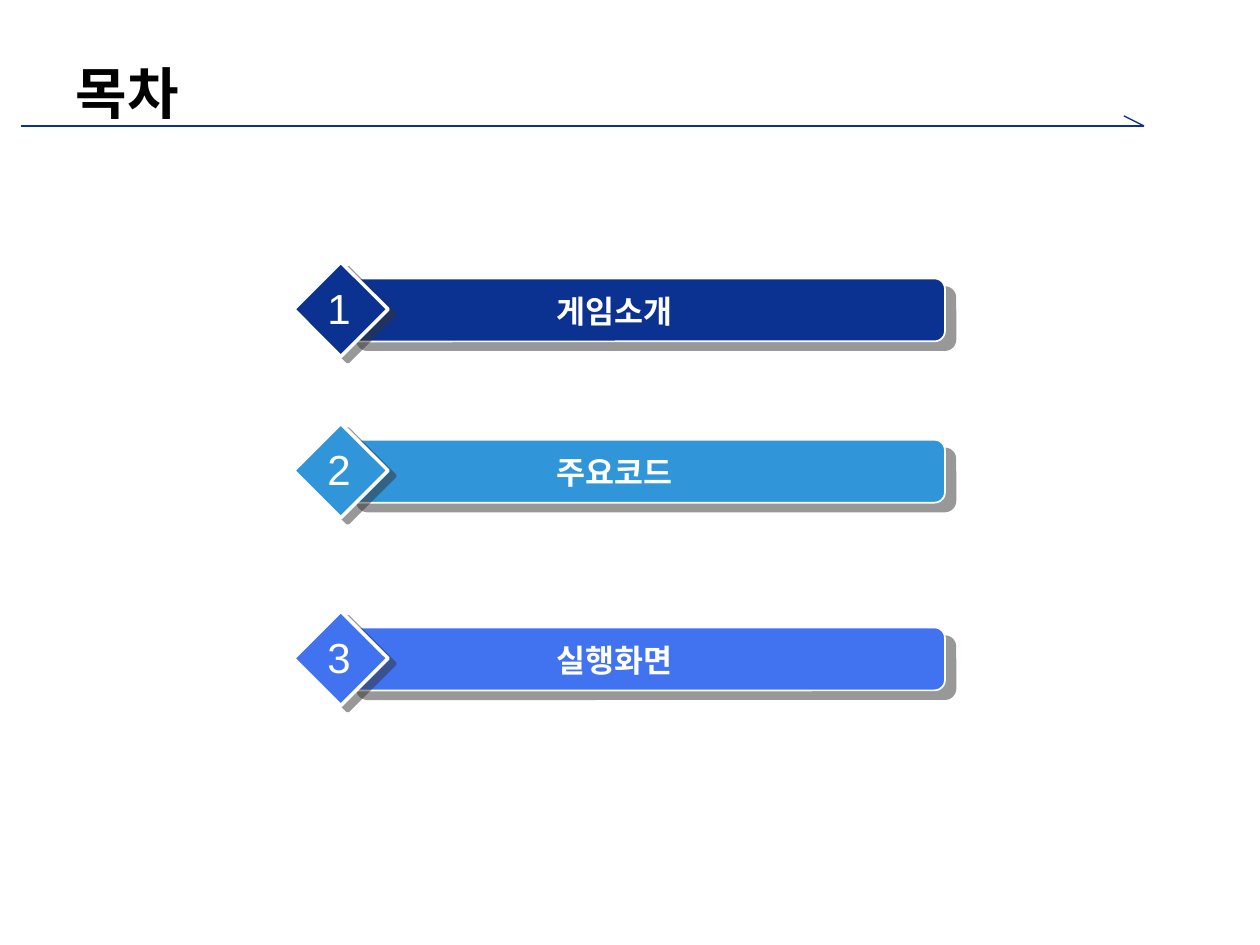
from dataclasses import dataclass

from lxml.etree import SubElement
from pptx import Presentation
from pptx.dml.color import RGBColor
from pptx.enum.shapes import MSO_CONNECTOR as Connector, MSO_SHAPE as Shape
from pptx.enum.text import MSO_ANCHOR as Anchor, MSO_AUTO_SIZE as AutoSize, PP_ALIGN as Align
from pptx.oxml.ns import qn
from pptx.util import Emu, Inches, Pt

# Content: label, top of the diamond, colour
TITLE = "목차"
ITEMS = [
    ("게임소개", 2.08, "0B3191"),
    ("주요코드", 3.36, "3195D9"),
    ("실행화면", 4.85, "4173F1"),
]


@dataclass(frozen=True)
class Theme:
    navy: str = "0B3191"
    white: str = "FFFFFF"
    black: str = "000000"
    shadow: str = "333333"
    title_font: str = "DejaVu Sans"
    body_font: str = "Arial"
    title_size: int = 32
    label_size: int = 18
    number_size: int = 24


THEME = Theme()

# Places inside an item: left, top below the diamond's top, width, height
BAR = (2.75, 0.13, 4.75, 0.5)
DIAMOND = (2.33, 0, 0.75, 0.75)
LABEL = (3, 0.19, 3.75, 0.4)
NUMBER = (2.5, 0.11, 0.38, 0.5)

# Title underline with its half arrowhead
ARROW_TIP = (9.08, 1)
ARROW_STARTS = [(0.17, 1), (8.92, 0.92)]


def set_text(frame, text, font, size, color, bold, alignment):
    frame.text = text
    paragraph = frame.paragraphs[0]
    paragraph.alignment = alignment
    run = paragraph.runs[0]
    for name, value in {"name": font, "size": Pt(size), "bold": bold}.items():
        setattr(run.font, name, value)
    run.font.color.rgb = RGBColor.from_string(color)
    SubElement(run.font._element, qn("a:ea"), typeface=font)


def add_block(group, kind, place, top, color, line_width, distance, angle):
    left, offset, width, height = place
    shape = group.shapes.add_shape(
        kind, Inches(left), Inches(top + offset), Inches(width), Inches(height))
    shape.fill.solid()
    shape.fill.fore_color.rgb = RGBColor.from_string(color)
    shape.line.color.rgb = RGBColor.from_string(THEME.white)
    shape.line.width = Pt(line_width)
    # Hard, half-transparent shadow
    shape.shadow.inherit = False
    effects = shape._element.spPr.find(qn("a:effectLst"))
    shadow = SubElement(effects, qn("a:outerShdw"), dist=str(Pt(distance)),
                        dir=str(angle * 60000), algn="ctr", rotWithShape="0")
    shade = SubElement(shadow, qn("a:srgbClr"), val=THEME.shadow)
    SubElement(shade, qn("a:alpha"), val="50000")
    return shape


def add_text(group, place, top, text, size, bold, wrap):
    left, offset, width, height = place
    box = group.shapes.add_textbox(
        Inches(left), Inches(top + offset), Inches(width), Inches(height))
    set_text(box.text_frame, text, THEME.body_font, size, THEME.white, bold, Align.CENTER)
    box.text_frame.word_wrap = wrap
    box.text_frame.auto_size = AutoSize.SHAPE_TO_FIT_TEXT


def add_item(slide, number, label, top, color):
    group = slide.shapes.add_group_shape()
    bar = add_block(group, Shape.ROUNDED_RECTANGLE, BAR, top, color, 1, 7.8, 40)
    bar.adjustments[0] = 0.167
    add_block(group, Shape.DIAMOND, DIAMOND, top, color, 2, 5, 37)
    add_text(group, LABEL, top, label, THEME.label_size, True, True)
    add_text(group, NUMBER, top, str(number), THEME.number_size, False, False)


def add_underline(slide):
    group = slide.shapes.add_group_shape()
    for start in ARROW_STARTS:
        line = group.shapes.add_connector(
            Connector.STRAIGHT, *(Inches(value) for value in start + ARROW_TIP))
        line.line.color.rgb = RGBColor.from_string(THEME.navy)
        line.line.width = Pt(0.75)
        SubElement(line._element.spPr, qn("a:effectLst"))


def add_title(slide):
    title = slide.shapes.title
    place = {"left": 0.5, "top": 0.42, "width": 8.42, "height": 0.62}
    for name, value in place.items():
        setattr(title, name, Inches(value))
    frame = title.text_frame
    set_text(frame, TITLE, THEME.title_font, THEME.title_size, THEME.black, True, Align.LEFT)
    frame.vertical_anchor = Anchor.MIDDLE
    frame.auto_size = AutoSize.NONE


def main():
    presentation = Presentation()
    presentation.slide_width, presentation.slide_height = Inches(10), Inches(7.5)
    slide = presentation.slides.add_slide(presentation.slide_layouts[5])
    add_underline(slide)
    add_title(slide)
    for number, (label, top, color) in enumerate(ITEMS, start=1):
        add_item(slide, number, label, top, color)
    presentation.save("out.pptx")


if __name__ == "__main__":
    main()
